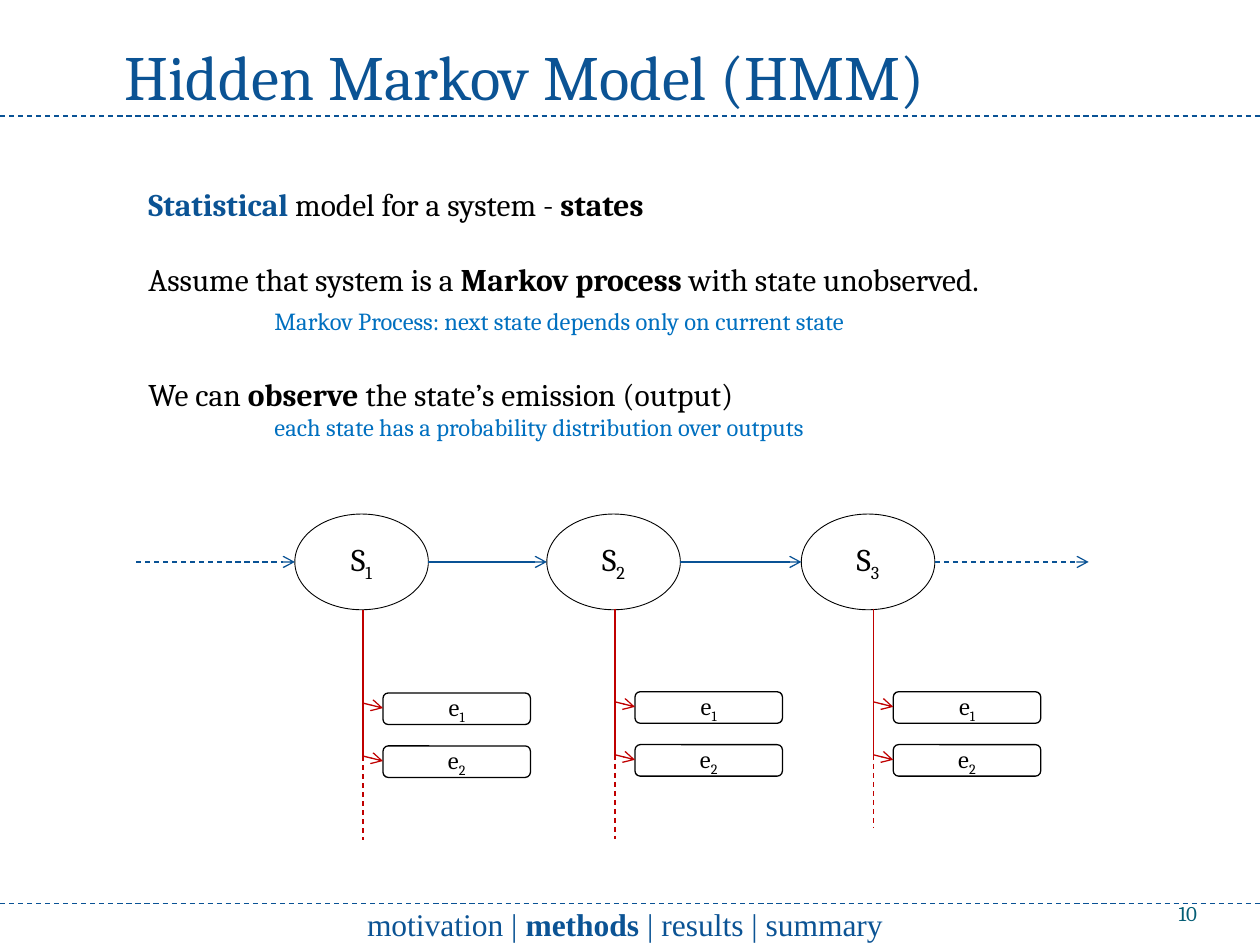
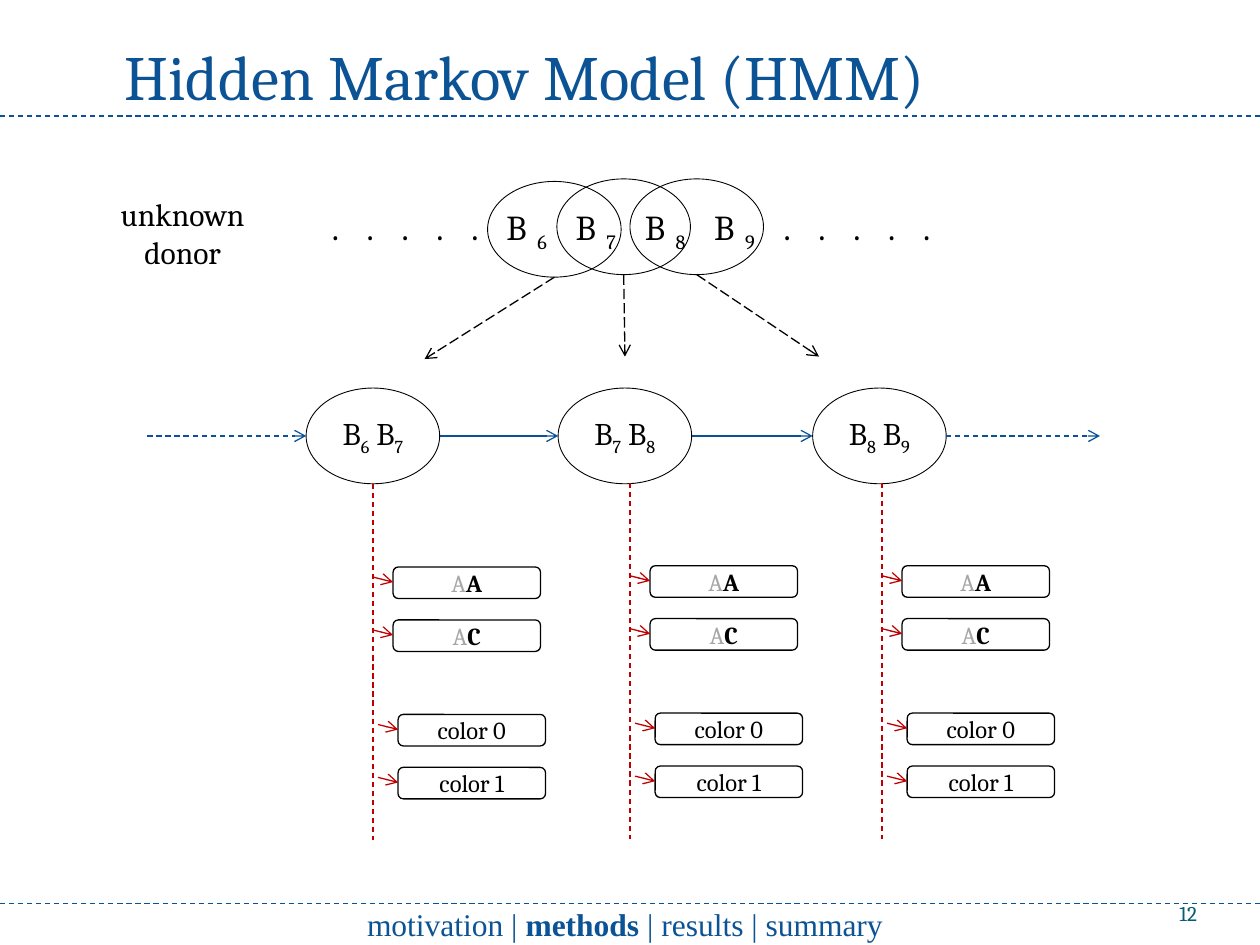
from lxml import etree
from pptx import Presentation
from pptx.dml.color import RGBColor
from pptx.enum.dml import MSO_LINE
from pptx.enum.shapes import MSO_CONNECTOR, MSO_SHAPE
from pptx.enum.text import MSO_ANCHOR, PP_ALIGN
from pptx.oxml.ns import qn
from pptx.util import Inches, Pt

BLACK, WHITE, GREY = "000000", "FFFFFF", "A6A6A6"
TITLE_BLUE, RULE_BLUE, NOTE_BLUE = "0B5394", "095295", "0070C0"
NUMBER_TEAL, EMISSION_RED = "045D75", "C00000"
STATE_WIDTH, STATE_HEIGHT = 1.06, 0.76
STATE_OFFSETS = (0, 2, 4.02)
BOLD = {"bold": True}
SUBSCRIPT = {"subscript": True}


def rgb(value):
    return RGBColor.from_string(value)


def write(paragraph, text, size=18, color=BLACK, font="Cambria", bold=False,
          subscript=False, spacing=None):
    run = paragraph.add_run()
    run.text = text
    run.font.size = Pt(size)
    run.font.name = font
    run.font.bold = bold
    run.font.color.rgb = rgb(color)
    properties = run._r.get_or_add_rPr()
    if subscript:
        properties.set("baseline", "-25000")
    if spacing:
        properties.set("spc", str(spacing * 100))


def fill_frame(frame, paragraphs, align=PP_ALIGN.LEFT, anchor=MSO_ANCHOR.TOP,
               inset=None, **style):
    """Each paragraph is a list of (text, format overrides) runs."""
    frame.word_wrap = True
    frame.vertical_anchor = anchor
    if inset is not None:
        frame.margin_left = frame.margin_right = Inches(inset)
        frame.margin_top = frame.margin_bottom = Inches(inset)
    for index, runs in enumerate(paragraphs):
        paragraph = frame.add_paragraph() if index else frame.paragraphs[0]
        paragraph.alignment = align
        for text, overrides in runs:
            write(paragraph, text, **{**style, **overrides})


def add_text(slide, box, paragraphs, **style):
    frame = slide.shapes.add_textbox(*map(Inches, box)).text_frame
    fill_frame(frame, paragraphs, **style)
    return frame


def add_node(slide, preset, box, runs=(), fill=None, width=0.75, **style):
    node = slide.shapes.add_shape(preset, *map(Inches, box))
    node.shadow.inherit = False
    if fill:
        node.fill.solid()
        node.fill.fore_color.rgb = rgb(fill)
    else:
        node.fill.background()
    node.line.color.rgb = rgb(BLACK)
    node.line.width = Pt(width)
    if runs:
        fill_frame(node.text_frame, [runs], PP_ALIGN.CENTER, MSO_ANCHOR.MIDDLE, 0, **style)


def add_line(slide, start, end, color=RULE_BLUE, dash=None, arrow=False):
    line = slide.shapes.add_connector(MSO_CONNECTOR.STRAIGHT, *map(Inches, (*start, *end)))
    line.line.color.rgb = rgb(color)
    line.line.width = Pt(0.75)
    if dash:
        line.line.dash_style = dash
    if arrow:
        etree.SubElement(line.line._get_or_add_ln(), qn("a:tailEnd"), type="arrow")
    etree.SubElement(line._element.spPr, qn("a:effectLst"))


def indexed(letter, *indices):
    """Runs for a letter with each subscript in turn, parted by spaces."""
    runs = []
    for position, index in enumerate(indices):
        runs += [(f" {letter}" if position else letter, {}), (str(index), SUBSCRIPT)]
    return runs


def add_state(slide, left, top, runs=()):
    add_node(slide, MSO_SHAPE.OVAL, (left, top, STATE_WIDTH, STATE_HEIGHT), runs, width=0.5)


def add_frame(slide, number):
    """Title, rules, section trail and page number."""
    add_text(slide, (0.89, 0.25, 6.94, 0.71), [[("Hidden Markov Model (HMM)", {})]],
             size=36, color=TITLE_BLUE)
    for y in (0.92, 7.17):
        add_line(slide, (0, y), (10, y), dash=MSO_LINE.DASH)
    trail = [("motivation | ", {}), ("methods", BOLD), (" | results | summary", {})]
    add_text(slide, (2.42, 7.17, 5.08, 0.33), [trail], align=PP_ALIGN.CENTER,
             anchor=MSO_ANCHOR.MIDDLE, color=TITLE_BLUE, font="Times New Roman")
    add_text(slide, (8.67, 6.95, 0.83, 0.4), [[(str(number), {})]], align=PP_ALIGN.RIGHT,
             anchor=MSO_ANCHOR.BOTTOM, inset=0, size=12, color=NUMBER_TEAL)


def add_state_chain(slide, left, top, states):
    middle = top + STATE_HEIGHT / 2
    starts = [left + offset for offset in STATE_OFFSETS]
    for start, runs in zip(starts, states):
        add_state(slide, start, top, runs)
    sources = [left - 1.26] + [start + STATE_WIDTH for start in starts]
    targets = starts + [starts[-1] + 2.28]
    dashes = (MSO_LINE.DASH, None, None, MSO_LINE.DASH)
    for source, target, dash in zip(sources, targets, dashes):
        add_line(slide, (source, middle), (target, middle), dash=dash, arrow=True)


def add_emission_pair(slide, left, top, outputs):
    for index, runs in enumerate(outputs):
        y = top + 0.42 * index
        add_node(slide, MSO_SHAPE.ROUNDED_RECTANGLE, (left + 0.16, y, 1.17, 0.25),
                 runs, fill=WHITE, size=14)
        add_line(slide, (left, y + 0.08), (left + 0.16, y + 0.12), EMISSION_RED, arrow=True)


def add_model_notes(slide, left, top):
    note = {"size": 14, "color": NOTE_BLUE}
    paragraphs = [
        [("Statistical", {"color": TITLE_BLUE, **BOLD}), (" model for a system - ", {}),
         ("states", BOLD)],
        [("Assume that system is a ", {}), ("Markov process ", BOLD),
         ("with state unobserved.", {})],
        [("Markov Process: next state depends only on current state", note)],
        [("We can ", {}), ("observe", BOLD), (" the state’s emission (output)", {})],
        [("each state has a probability distribution over outputs", note)],
    ]
    frame = add_text(slide, (left, top, 7.25, 2.15), paragraphs)
    for paragraph, gap in zip(frame.paragraphs[1:], (21.4, 4.3, 22.5, 0)):
        paragraph.space_before = Pt(gap)
    for index in (2, 4):
        frame.paragraphs[index]._p.get_or_add_pPr().set("marL", str(Inches(1)))


def add_donor_row(slide, left, top):
    """Unknown donor's sequence with overlapping windows that lead to the states."""
    add_text(slide, (left, top + 0.08, 1.24, 0.71), [[("unknown", {})], [("donor", {})]],
             align=PP_ALIGN.CENTER)
    sequence = [(". . . . . ", {}), *indexed("B", 6, 7, 8, 9), (" . . . . .", {})]
    add_text(slide, (left + 1.48, top + 0.16, 5.4, 0.44), [sequence],
             align=PP_ALIGN.CENTER, size=20, spacing=6)
    windows = ((3.04, 0.02, 2.54), (3.59, 0, 4.13), (4.17, 0, 5.67))
    for x, y, target in windows:
        add_state(slide, left + x, top + y)
        add_line(slide, (left + x + STATE_WIDTH / 2, top + y + STATE_HEIGHT),
                 (left + target, top + y + 1.41), BLACK, MSO_LINE.LONG_DASH, arrow=True)


def build_model_slide(slide):
    add_frame(slide, 10)
    add_model_notes(slide, 1.08, 1.42)
    add_state_chain(slide, 2.34, 4.08, [indexed("S", n) for n in (1, 2, 3)])
    outputs = [indexed("e", n) for n in (1, 2)]
    for x, top, end in ((2.88, 4.84, 6.67), (4.88, 4.83, 6.66), (6.93, 4.83, 6.57)):
        solid_end = top + 1.16
        add_line(slide, (x, top), (x, solid_end), EMISSION_RED)
        add_line(slide, (x, solid_end), (x, end), EMISSION_RED, MSO_LINE.DASH)
        add_emission_pair(slide, x, top + 0.66, outputs)


def build_donor_slide(slide):
    add_frame(slide, 12)
    add_donor_row(slide, 0.83, 1.42)
    add_state_chain(slide, 2.43, 3.08, [indexed("B", n, n + 1) for n in (6, 7, 8)])
    alleles = [[("A", {"color": GREY}), (base, BOLD)] for base in "AC"]
    colors = [[(f"color {n}", {})] for n in (0, 1)]
    for x, top in ((2.96, 3.84), (5, 3.83), (7, 3.83)):
        add_line(slide, (x, top), (x, top + 2.83), EMISSION_RED, MSO_LINE.DASH)
        add_emission_pair(slide, x, top + 0.66, alleles)
        add_emission_pair(slide, x + 0.04, top + 1.83, colors)


def main():
    deck = Presentation()
    deck.slide_width, deck.slide_height = Inches(10), Inches(7.5)
    for build in (build_model_slide, build_donor_slide):
        build(deck.slides.add_slide(deck.slide_layouts[6]))
    deck.save("out.pptx")


if __name__ == "__main__":
    main()
